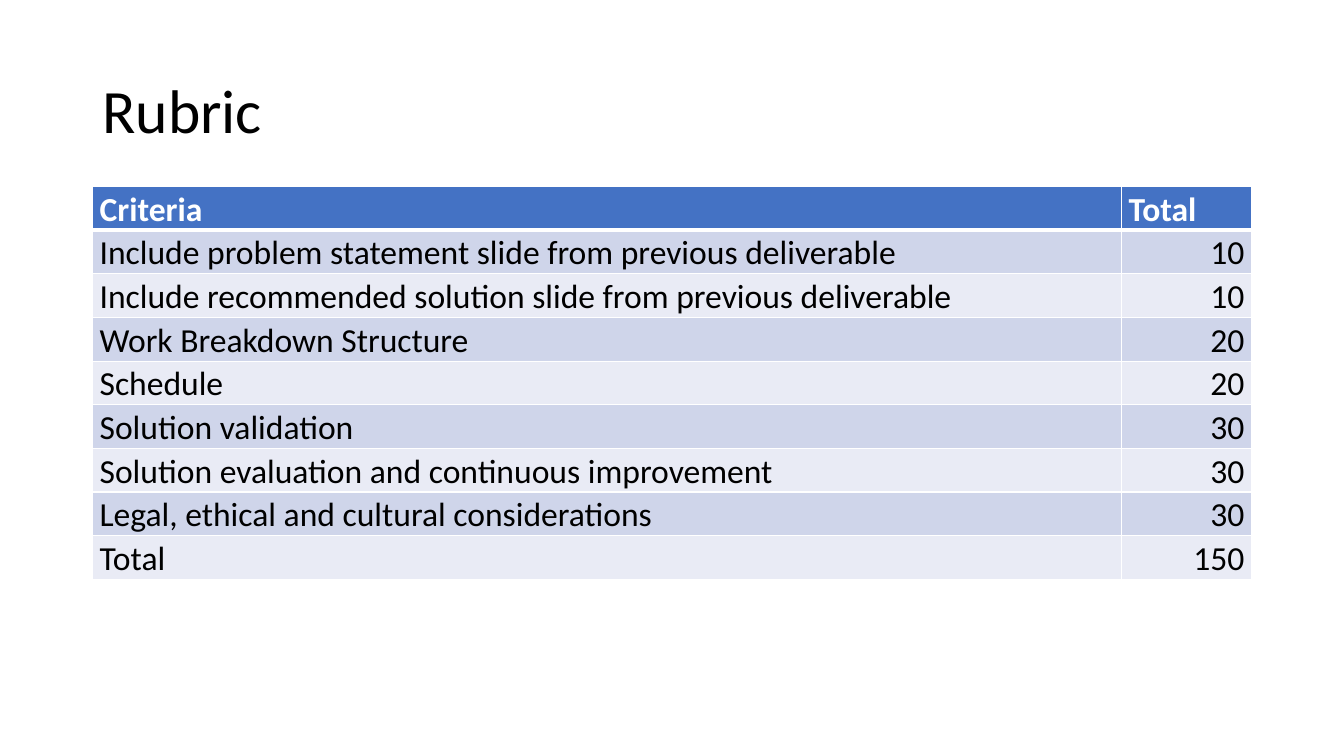
from dataclasses import dataclass

from lxml import etree
from pptx import Presentation
from pptx.dml.color import RGBColor
from pptx.enum.text import MSO_ANCHOR, PP_ALIGN
from pptx.oxml.ns import qn
from pptx.util import Cm, Pt

LEFT, RIGHT = PP_ALIGN.LEFT, PP_ALIGN.RIGHT
MIDDLE = MSO_ANCHOR.MIDDLE


@dataclass(frozen=True)
class Theme:
    font: str = "Calibri"
    title_size: int = 44
    table_size: int = 24
    dark: str = "000000"
    light: str = "FFFFFF"
    header: str = "4472C4"
    bands: tuple = ("CFD5EA", "E9EBF5")
    thin: int = 1
    thick: int = 3


theme = Theme()


def write_text(frame, text, *, size, color=theme.dark, bold=False,
               align=LEFT, line_spacing=1.0, space_before=0):
    para = frame.paragraphs[0]
    para.alignment = align
    para.line_spacing = line_spacing
    para.space_before = Pt(space_before)
    span = para.add_run()
    span.text = text
    span.font.name = theme.font
    span.font.size = Pt(size)
    span.font.bold = bold
    span.font.color.rgb = RGBColor.from_string(color)


def set_borders(cell, widths):
    """Draw cell borders; widths are points for left, right, top, bottom."""
    properties = cell._tc.get_or_add_tcPr()
    for index, (side, width) in enumerate(zip("LRTB", widths)):
        line = etree.Element(qn(f"a:ln{side}"), w=str(Pt(width)))
        fill = etree.SubElement(line, qn("a:solidFill"))
        etree.SubElement(fill, qn("a:srgbClr"), val=theme.light)
        properties.insert(index, line)


deck = Presentation()
deck.slide_width, deck.slide_height = Cm(33.87), Cm(19.05)
page = deck.slides.add_slide(deck.slide_layouts[6])

# Title
box = page.shapes.add_textbox(Cm(2.33), Cm(1.01), Cm(29.21), Cm(3.68))
box.text_frame.word_wrap = True
box.text_frame.vertical_anchor = MIDDLE
write_text(box.text_frame, "Rubric", size=theme.title_size, line_spacing=0.9)

# Rubric content
criteria = [
    ("Include problem statement slide from previous deliverable", 10),
    ("Include recommended solution slide from previous deliverable", 10),
    ("Work Breakdown Structure", 20),
    ("Schedule", 20),
    ("Solution validation", 30),
    ("Solution evaluation and continuous improvement", 30),
    ("Legal, ethical and cultural considerations", 30),
]
total = sum(points for _, points in criteria)
rows = [("Criteria", "Total"), *criteria, ("Total", total)]

# Table grid
column_widths = [Cm(25.93), Cm(3.28)]
row_height = Cm(1.1)
table = page.shapes.add_table(
    len(rows), len(column_widths), Cm(2.33), Cm(4.7),
    sum(column_widths), row_height * len(rows)).table
for column, width in zip(table.columns, column_widths):
    column.width = width

# Table cells
for row_index, row in enumerate(rows):
    is_header = row_index == 0
    fill_color = theme.header if is_header else theme.bands[(row_index - 1) % 2]
    top = theme.thick if row_index == 1 else theme.thin
    bottom = theme.thick if is_header else theme.thin
    for column_index, value in enumerate(row):
        cell = table.cell(row_index, column_index)
        cell.margin_left = cell.margin_right = Cm(0.18)
        cell.margin_top = cell.margin_bottom = Cm(0)
        cell.fill.solid()
        cell.fill.fore_color.rgb = RGBColor.from_string(fill_color)
        set_borders(cell, (theme.thin, theme.thin, top, bottom))
        write_text(cell.text_frame, str(value), size=theme.table_size,
                   color=theme.light if is_header else theme.dark,
                   bold=is_header,
                   align=RIGHT if column_index and not is_header else LEFT,
                   line_spacing=1.07, space_before=6)

deck.save("out.pptx")
